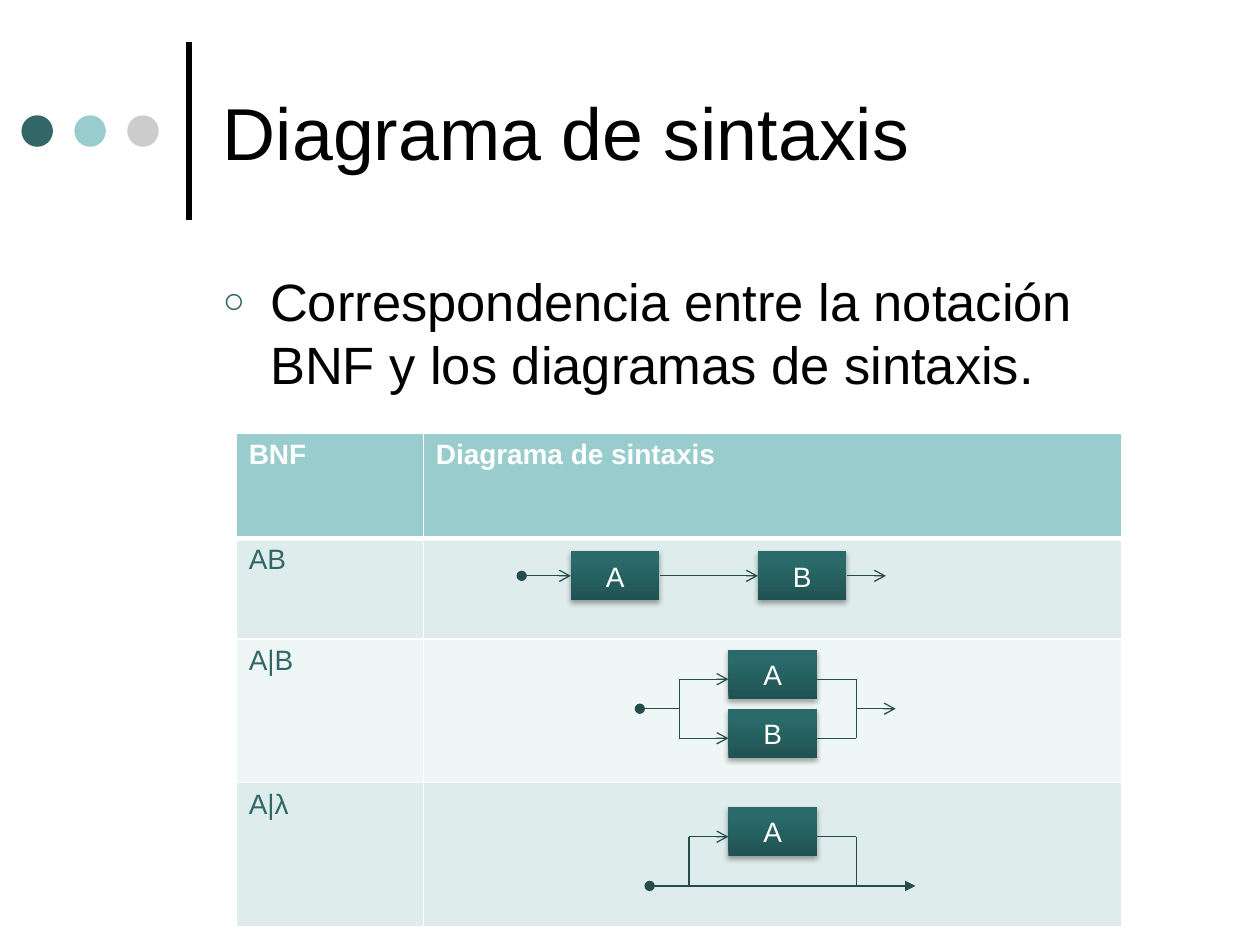
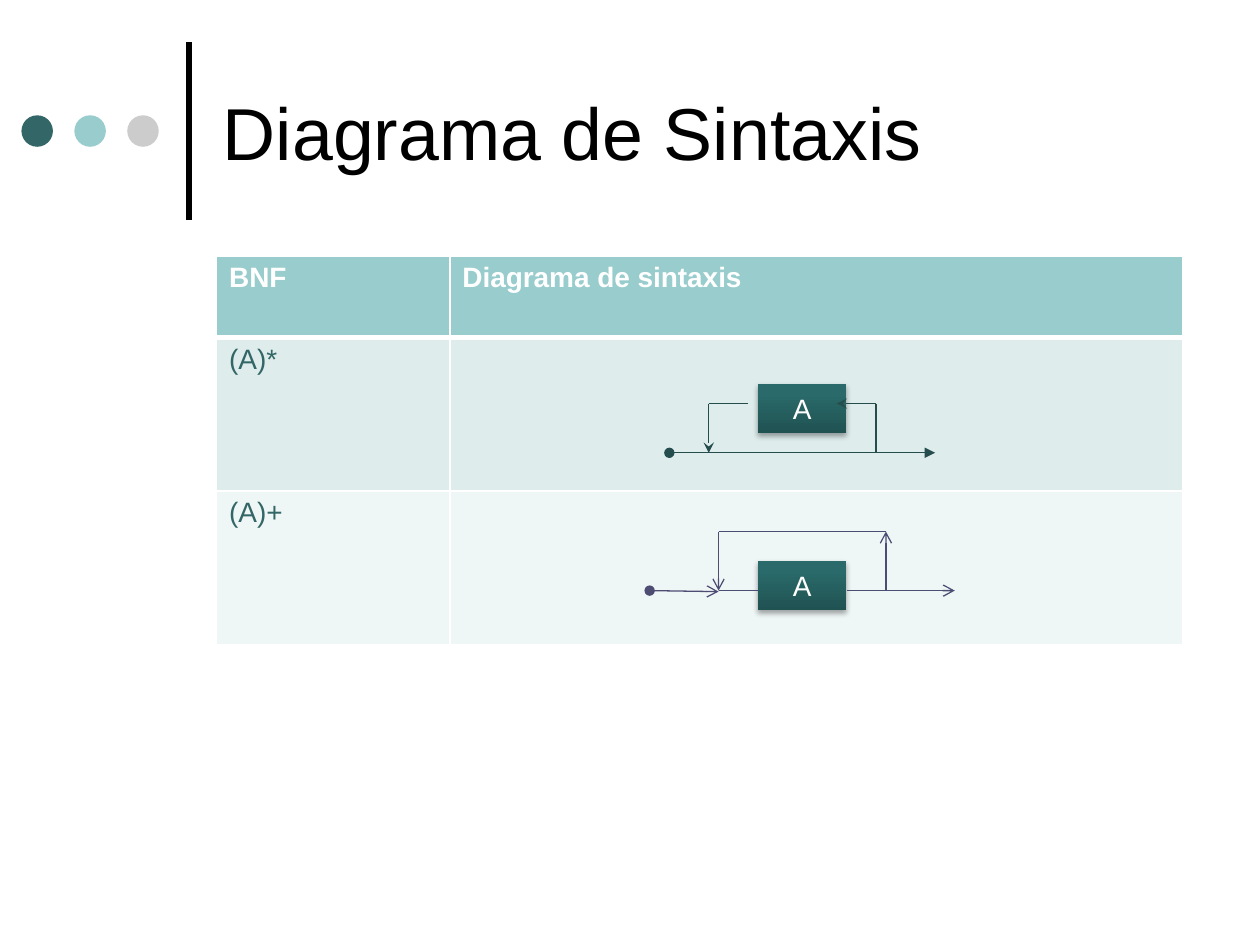
import pptx
import pptx.util
import pptx.dml.color
import pptx.enum.shapes
import pptx.enum.text
import pptx.oxml
import pptx.oxml.ns

COLORS = {
    "black": "000000", "white": "FFFFFF", "teal": "336666", "aqua": "99CCCC",
    "gray": "CCCCCC", "band_dark": "DEECEC", "band_light": "EFF6F6",
    "line_teal": "264D4D", "line_violet": "4D4D73",
    "box_low": "205252", "box_mid": "2A6A6A", "box_high": "296C6C",
}
FORMATS = {
    "title": {"name": "Arial", "size": pptx.util.Pt(42)},
    "body": {"name": "Arial", "size": pptx.util.Pt(30)},
    "header": {"name": "Arial", "size": pptx.util.Pt(16), "bold": True},
    "label": {"name": "Arial", "size": pptx.util.Pt(16), "bold": False},
}
WIDTH, HEIGHT = 10, 7.5
UNIT = WIDTH / 128          # the slide is a grid of 128 columns and 96 rows
BOX_COLUMNS, BOX_ROWS = 9, 5
DOTS = ["teal", "aqua", "gray"]
HEADER = ["BNF", "Diagrama de sintaxis"]

# Boxes: (letter, column, row). Lines: (column, row, column, row, head, tail).
SLIDES = [
    {
        "title": "Diagrama de sintaxis",
        "body": "Correspondencia entre la notación BNF y los diagramas de sintaxis.",
        "table": {"at": (24, 44), "columns": (19, 71), "rows": (10.7, 10.2, 14.6, 14.6),
                  "labels": ["AB", "A|B", "A|λ"]},
        "diagrams": [
            {"color": "line_teal",
             "boxes": [("A", 58, 56), ("B", 77, 56)],
             "lines": [(67, 58.5, 77, 58.5, None, "arrow"),
                       (53, 58.5, 58, 58.5, "oval", "arrow"),
                       (86, 58.5, 90, 58.5, None, "arrow")]},
            {"color": "line_teal",
             "boxes": [("A", 74, 66), ("B", 74, 72)],
             "lines": [(69, 69, 74, 69, None, "arrow"),
                       (69, 75, 74, 75, None, "arrow"),
                       (69, 69, 69, 75, None, None),
                       (65, 72, 69, 72, "oval", None),
                       (83, 69, 87, 69, None, None),
                       (83, 75, 87, 75, None, None),
                       (87, 69, 87, 75, None, None),
                       (87, 72, 91, 72, None, "arrow")]},
            {"color": "line_teal",
             "boxes": [("A", 74, 82)],
             "lines": [(66, 90, 93, 90, "oval", "triangle"),
                       (70, 85, 74, 85, None, "arrow"),
                       (83, 85, 87, 85, None, None),
                       (70, 85, 70, 90, None, None),
                       (87, 85, 87, 90, None, None)]},
        ],
    },
    {
        "title": "Diagrama de Sintaxis",
        "body": None,
        "table": {"at": (22, 26), "columns": (23.7, 74.5), "rows": (8.3, 15.6, 15.6),
                  "labels": ["(A)*", "(A)+"]},
        "diagrams": [
            {"color": "line_teal",
             "boxes": [("A", 77, 39)],
             "lines": [(68, 46, 95, 46, "oval", "triangle"),
                       (72, 41, 76, 41, None, None),
                       (85, 41, 89, 41, "stealth", None),
                       (72, 41, 72, 46, None, "stealth"),
                       (89, 41, 89, 46, None, None)]},
            {"color": "line_violet",
             "boxes": [("A", 77, 57)],
             "lines": [(73, 60, 77, 60, None, None),
                       (86, 60, 97, 60, None, "arrow"),
                       (66, 60, 73, 60.1, "oval", "arrow"),
                       (73, 54, 90, 54, None, None),
                       (90, 60, 90, 54, None, "arrow"),
                       (73, 54, 73, 60, None, "arrow")]},
        ],
    },
]


def grid(*counts):
    """Turn grid counts into lengths."""
    return [pptx.util.Inches(count * UNIT) for count in counts]


def share(x, y, width, height):
    """Turn shares of the slide's size into lengths."""
    return [pptx.util.Inches(part * whole) for part, whole in
            zip((x, y, width, height), (WIDTH, HEIGHT, WIDTH, HEIGHT))]


def rgb(color):
    """Look up a named colour."""
    return pptx.dml.color.RGBColor.from_string(COLORS[color])


def element(tag, text="", **attributes):
    """Make one DrawingML element, with optional inner XML."""
    pairs = " ".join(f'{name}="{value}"' for name, value in attributes.items())
    space = pptx.oxml.ns.nsdecls("a")
    return pptx.oxml.parse_xml(f"<a:{tag} {space} {pairs}>{text}</a:{tag}>")


def color_xml(color, inner=""):
    """Write a colour as XML."""
    return f'<a:srgbClr val="{COLORS[color]}">{inner}</a:srgbClr>'


def write(frame, text, style, color):
    """Put one formatted run in a text frame and return its paragraph."""
    para = frame.paragraphs[0]
    span = para.add_run()
    span.text = text
    for name, value in FORMATS[style].items():
        setattr(span.font, name, value)
    span.font.color.rgb = rgb(color)
    return para


def add_line(page, ends, color, width, head=None, tail=None):
    """Draw a straight line with optional arrowheads."""
    line = page.shapes.add_connector(pptx.enum.shapes.MSO_CONNECTOR.STRAIGHT, *ends)
    line.line.color.rgb = rgb(color)
    line.line.width = pptx.util.Pt(width)
    for tag, kind in (("headEnd", head), ("tailEnd", tail)):
        if kind:
            line.line._get_or_add_ln().append(element(tag, type=kind))
    line._element.spPr.append(element("effectLst"))


def add_text(page, place, text, style, anchor):
    """Add a wrapping text box and return its paragraph."""
    frame = page.shapes.add_textbox(*place).text_frame
    frame.word_wrap = True
    frame.vertical_anchor = anchor
    return write(frame, text, style, "black")


def add_frame(page, title):
    """Add the dots, the rule and the title that every slide has."""
    add_line(page, share(0.15, 0.233, 0.15, 0.044), "black", 3)
    for index, color in enumerate(DOTS):
        size = pptx.util.Inches(0.25)
        left, top = share(0.017 + index * 0.042, 0.122, 0, 0)[:2]
        dot = page.shapes.add_shape(pptx.enum.shapes.MSO_SHAPE.OVAL, left, top, size, size)
        dot.shadow.inherit = False
        dot.fill.solid()
        dot.fill.fore_color.rgb = rgb(color)
        dot.line.fill.background()
    add_text(page, share(0.167, 0.028, 0.767, 0.222), title, "title",
             pptx.enum.text.MSO_ANCHOR.MIDDLE)


def add_body(page, text):
    """Add the bulleted statement."""
    para = add_text(page, share(0.167, 0.278, 0.767, 0.14), text, "body",
                    pptx.enum.text.MSO_ANCHOR.TOP)
    para.space_before = pptx.util.Pt(6)
    indent = pptx.util.Inches(0.375)
    settings = para._p.get_or_add_pPr()
    settings.set("marL", str(indent))
    settings.set("indent", str(-indent))
    for bullet in (element("buClr", color_xml("teal")), element("buSzPct", val=70000),
                   element("buFont", typeface="Arial"), element("buChar", char="○")):
        settings.append(bullet)


def style_cell(cell, row, fill):
    """Give a cell white borders and a fill; the header's lower edge is thick."""
    widths = {"lnL": 1, "lnR": 1, "lnT": 3 if row == 1 else 1, "lnB": 3 if row == 0 else 1}
    for tag, width in widths.items():
        cell._tc.get_or_add_tcPr().append(element(
            tag, f"<a:solidFill>{color_xml('white')}</a:solidFill>", w=pptx.util.Pt(width)))
    cell.fill.solid()
    cell.fill.fore_color.rgb = rgb(fill)


def add_rules_table(page, spec):
    """Add the table of BNF rules, with its diagram column left empty."""
    columns, rows = spec["columns"], spec["rows"]
    place = grid(*spec["at"], sum(columns), sum(rows))
    table = page.shapes.add_table(len(rows), len(columns), *place).table
    for column, width in zip(table.columns, grid(*columns)):
        column.width = width
    for row, height in zip(table.rows, grid(*rows)):
        row.height = height
    content = [HEADER] + [[label, ""] for label in spec["labels"]]
    for row, texts in enumerate(content):
        fill = "aqua" if row == 0 else ("band_light", "band_dark")[row % 2]
        style, color = ("label", "teal") if row else ("header", "white")
        for column, text in enumerate(texts):
            cell = table.cell(row, column)
            style_cell(cell, row, fill)
            if text:
                write(cell.text_frame, text, style, color)


def add_box(page, letter, column, row):
    """Add a shaded box holding one symbol."""
    box = page.shapes.add_shape(pptx.enum.shapes.MSO_SHAPE.RECTANGLE,
                                *grid(column, row, BOX_COLUMNS, BOX_ROWS))
    box.line.fill.background()
    box.shadow.inherit = False
    stops = "".join(f'<a:gs pos="{position}">{color_xml(color)}</a:gs>' for position, color in
                    ((0, "box_low"), (80000, "box_mid"), (100000, "box_high")))
    shape = box._element.spPr
    shape.insert(2, element("gradFill", f'<a:gsLst>{stops}</a:gsLst><a:lin ang="16200000"/>'))
    shape.find(pptx.oxml.ns.qn("a:effectLst")).append(element(
        "outerShdw", color_xml("black", '<a:alpha val="35000"/>'), rotWithShape=0,
        blurRad=pptx.util.Pt(3.1), dist=pptx.util.Pt(1.8), dir=5400000))
    box.text_frame.vertical_anchor = pptx.enum.text.MSO_ANCHOR.MIDDLE
    para = write(box.text_frame, letter, "label", "white")
    para.alignment = pptx.enum.text.PP_ALIGN.CENTER


def add_diagram(page, diagram):
    """Draw one syntax diagram: boxes first, then their lines."""
    for box in diagram["boxes"]:
        add_box(page, *box)
    for *ends, head, tail in diagram["lines"]:
        add_line(page, grid(*ends), diagram["color"], 0.75, head, tail)


deck = pptx.Presentation()
deck.slide_width = pptx.util.Inches(WIDTH)
deck.slide_height = pptx.util.Inches(HEIGHT)
for content in SLIDES:
    page = deck.slides.add_slide(deck.slide_layouts[6])
    add_frame(page, content["title"])
    if content["body"]:
        add_body(page, content["body"])
    add_rules_table(page, content["table"])
    for diagram in content["diagrams"]:
        add_diagram(page, diagram)
deck.save("out.pptx")
